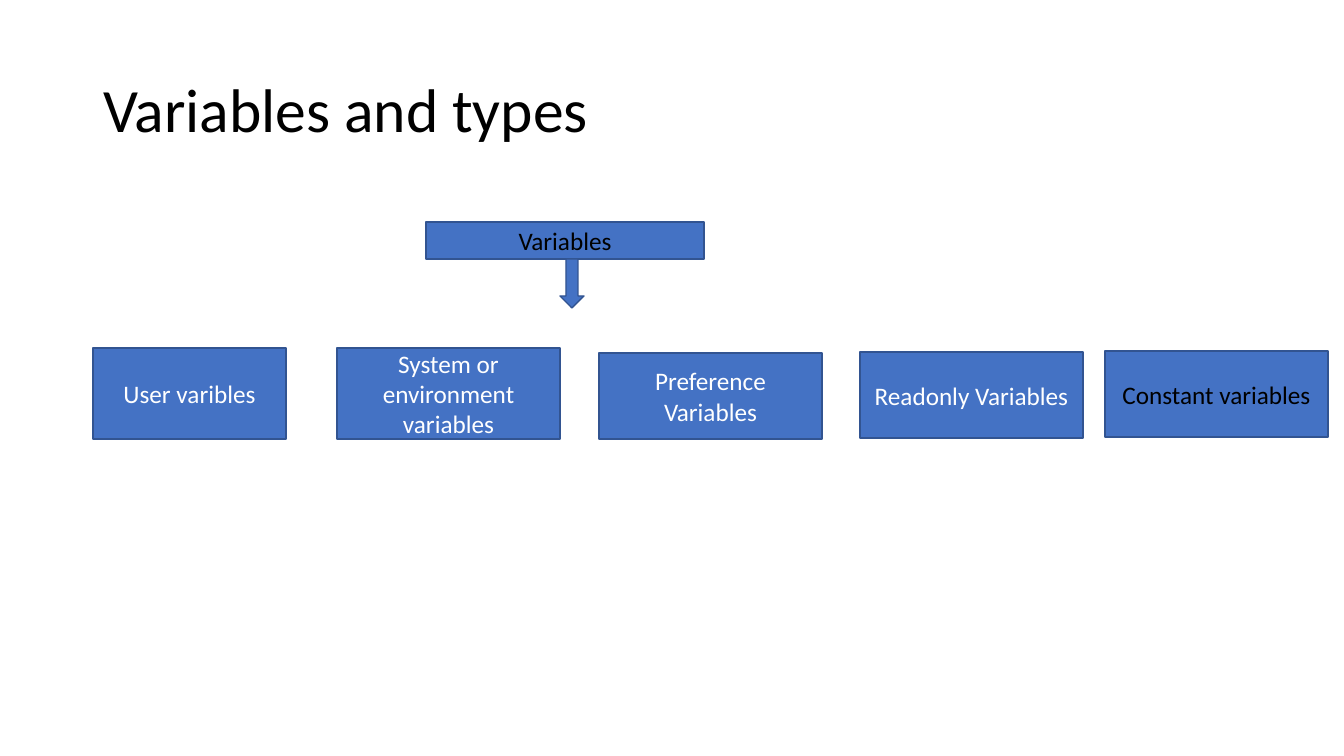
from pptx import Presentation
from pptx.dml.color import RGBColor
from pptx.enum.shapes import MSO_SHAPE
from pptx.enum.text import MSO_ANCHOR, MSO_AUTO_SIZE, PP_ALIGN
from pptx.util import Pt

RECT, ARROW = MSO_SHAPE.RECTANGLE, MSO_SHAPE.DOWN_ARROW
LEFT, CENTER = PP_ALIGN.LEFT, PP_ALIGN.CENTER
MIDDLE, NO_FIT = MSO_ANCHOR.MIDDLE, MSO_AUTO_SIZE.NONE
SCALE = 914400 / 100.8
FONT = "Calibri"
BLUE, EDGE, BLACK, WHITE = "4472C4", "325491", "000000", "FFFFFF"

TITLE = ("Variables and types", (93, 40, 1159, 146))
ROOT = ("Variables", (426, 222, 278, 37), BLACK)
ARROW_BOX = (560, 259, 24, 49)
TYPES = [
    ("User varibles", (93, 348, 193, 91), WHITE),
    ("System or environment variables", (337, 348, 223, 91), WHITE),
    ("Preference Variables", (599, 353, 223, 86), WHITE),
    ("Readonly Variables", (860, 352, 223, 86), WHITE),
    ("Constant variables", (1105, 351, 223, 86), BLACK),
]


def px(*sizes):
    """Turn pixel lengths into EMU."""
    return [round(size * SCALE) for size in sizes]


def color(code):
    """Turn a hex string into a colour."""
    return RGBColor.from_string(code)


def write(shape, text, size, ink, align):
    """Write one paragraph, centred in height."""
    frame = shape.text_frame
    frame.word_wrap = True
    frame.auto_size = NO_FIT
    frame.vertical_anchor = MIDDLE
    para = frame.paragraphs[0]
    para.alignment = align
    run = para.add_run()
    run.text = text
    run.font.name = FONT
    run.font.size = Pt(size)
    run.font.color.rgb = color(ink)
    return para


def draw(slide, kind, box):
    """Add a blue preset shape with a dark edge."""
    shape = slide.shapes.add_shape(kind, *px(*box))
    shape.shadow.inherit = False
    shape.fill.solid()
    shape.fill.fore_color.rgb = color(BLUE)
    shape.line.color.rgb = color(EDGE)
    shape.line.width = Pt(1)
    return shape


deck = Presentation()
deck.slide_width, deck.slide_height = px(1344, 756)
slide = deck.slides.add_slide(deck.slide_layouts[5])

text, box = TITLE
title = slide.shapes.title
title.left, title.top, title.width, title.height = px(*box)
write(title, text, 44, BLACK, LEFT).line_spacing = 0.9

for text, box, ink in [ROOT, *TYPES]:
    write(draw(slide, RECT, box), text, 18, ink, CENTER)
draw(slide, ARROW, ARROW_BOX)

deck.save("out.pptx")
